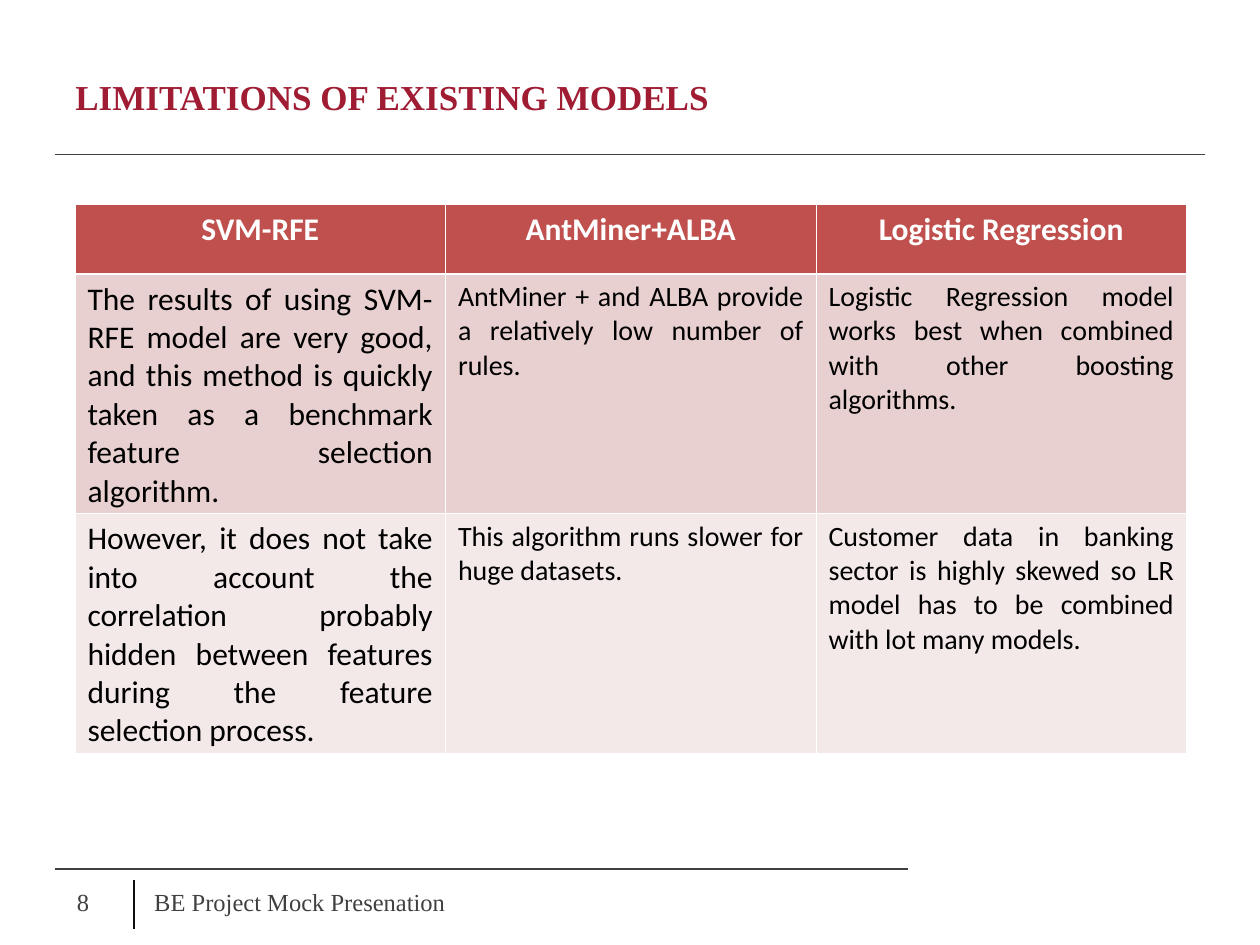
from dataclasses import dataclass

from lxml.etree import SubElement
from pptx import Presentation
from pptx.dml.color import RGBColor
from pptx.enum.shapes import MSO_CONNECTOR
from pptx.enum.text import MSO_ANCHOR, PP_ALIGN
from pptx.oxml.ns import qn
from pptx.util import Cm, Pt


@dataclass(frozen=True)
class Theme:
    heading_font: str = "Times New Roman"
    table_font: str = "Calibri"
    title: str = "9F1C33"
    rule: str = "404040"
    divider: str = "0D0D0D"
    footer: str = "404040"
    header_text: str = "FFFFFF"
    body_text: str = "000000"
    border: str = "FFFFFF"
    row_fills: tuple = ("C0504D", "E8D0D0", "F4E9E9")
    title_size: int = 20
    footer_size: int = 14
    header_size: int = 18
    body_sizes: tuple = (18, 16, 16)  # one per column
    thin: float = 0.45
    thick: float = 1.47


THEME = Theme()

MODELS = [
    ("SVM-RFE", "AntMiner+ALBA", "Logistic Regression"),
    (
        "The results of using SVM-RFE model are very good, and this method is "
        "quickly taken as a benchmark feature selection algorithm.",
        "AntMiner + and ALBA provide a relatively low number of rules. ",
        "Logistic Regression model works best when combined with other "
        "boosting algorithms.",
    ),
    (
        "However, it does not take into account the correlation probably "
        "hidden between features during the feature selection process.",
        "This algorithm runs slower for huge datasets.",
        "Customer data in banking sector is highly skewed so LR model has to "
        "be combined with lot many models.",
    ),
]


def style(paragraph, font, size, color, bold=False):
    paragraph.font.name = font
    paragraph.font.size = Pt(size)
    paragraph.font.bold = bold
    paragraph.font.color.rgb = RGBColor.from_string(color)


def add_rule(slide, x1, y1, x2, y2, color):
    rule = slide.shapes.add_connector(
        MSO_CONNECTOR.STRAIGHT, Cm(x1), Cm(y1), Cm(x2), Cm(y2))
    rule.line.color.rgb = RGBColor.from_string(color)
    rule.line.width = Pt(0.75)
    SubElement(rule._element.spPr, qn("a:effectLst"))


def add_label(slide, text, left, top, width, height, size, color, bold=False):
    frame = slide.shapes.add_textbox(
        Cm(left), Cm(top), Cm(width), Cm(height)).text_frame
    frame.word_wrap = True
    frame.vertical_anchor = MSO_ANCHOR.MIDDLE
    frame.text = text
    style(frame.paragraphs[0], THEME.heading_font, size, color, bold)


def set_borders(cell, top, bottom):
    properties = cell._tc.get_or_add_tcPr()
    sides = {"L": THEME.thin, "R": THEME.thin, "T": top, "B": bottom}
    for side, width in sides.items():
        line = SubElement(properties, qn(f"a:ln{side}"), w=str(Pt(width)))
        fill = SubElement(line, qn("a:solidFill"))
        SubElement(fill, qn("a:srgbClr"), val=THEME.border)


def fill_cell(cell, text, row, column):
    is_header = row == 0
    # The heavier line separates the header from the body
    set_borders(cell,
                top=THEME.thick if row == 1 else THEME.thin,
                bottom=THEME.thick if is_header else THEME.thin)
    cell.fill.solid()
    cell.fill.fore_color.rgb = RGBColor.from_string(THEME.row_fills[row])
    cell.text = text
    paragraph = cell.text_frame.paragraphs[0]
    if is_header:
        paragraph.alignment = PP_ALIGN.CENTER
        style(paragraph, THEME.table_font, THEME.header_size,
              THEME.header_text, bold=True)
    else:
        paragraph.alignment = PP_ALIGN.JUSTIFY
        style(paragraph, THEME.table_font, THEME.body_sizes[column],
              THEME.body_text)


def add_model_table(slide, left, top, column_width, row_heights):
    column_count = len(MODELS[0])
    table = slide.shapes.add_table(
        len(MODELS), column_count, Cm(left), Cm(top),
        Cm(column_width * column_count), Cm(sum(row_heights))).table
    for column in table.columns:
        column.width = Cm(column_width)
    for row, (height, texts) in enumerate(zip(row_heights, MODELS)):
        table.rows[row].height = Cm(height)
        for column, text in enumerate(texts):
            fill_cell(table.cell(row, column), text, row, column)


def main():
    presentation = Presentation()
    presentation.slide_width, presentation.slide_height = Cm(25.4), Cm(19.05)
    slide = presentation.slides.add_slide(presentation.slide_layouts[6])

    # Rules around the content and the footer divider
    add_rule(slide, 1.1, 3.12, 24.3, 3.12, THEME.rule)
    add_rule(slide, 1.1, 17.52, 18.3, 17.52, THEME.rule)
    add_rule(slide, 2.7, 17.74, 2.7, 18.72, THEME.divider)

    # Title
    add_label(slide, "LIMITATIONS OF EXISTING MODELS", 1.27, 0.76, 22.86, 2.36,
              THEME.title_size, THEME.title, bold=True)

    # Comparison of the models
    add_model_table(slide, 1.51, 4.12, 7.47, (1.4, 4.83, 4.83))

    # Footer
    add_label(slide, "BE Project Mock Presenation", 2.86, 17.66, 8.05, 1.02,
              THEME.footer_size, THEME.footer)
    add_label(slide, "8", 1.3, 17.66, 1.32, 1.02,
              THEME.footer_size, THEME.footer)

    presentation.save("out.pptx")


if __name__ == "__main__":
    main()
